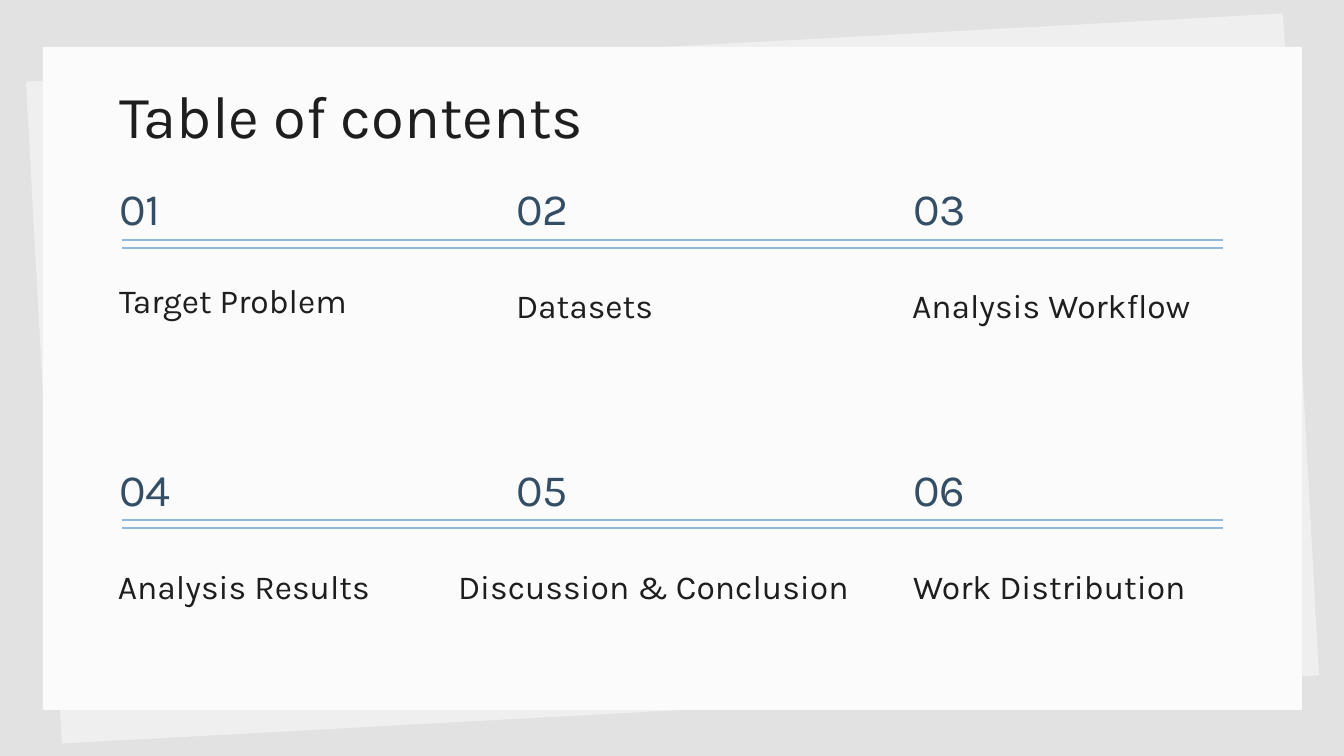
from pptx import Presentation
from pptx.dml.color import RGBColor
from pptx.enum.shapes import MSO_CONNECTOR, MSO_SHAPE
from pptx.enum.text import MSO_ANCHOR
from pptx.oxml.ns import qn
from pptx.util import Pt
from lxml import etree

RECTANGLE = MSO_SHAPE.RECTANGLE
STRAIGHT = MSO_CONNECTOR.STRAIGHT
TOP, MIDDLE, BOTTOM = MSO_ANCHOR.TOP, MSO_ANCHOR.MIDDLE, MSO_ANCHOR.BOTTOM

EMU_PER_PX = 914400 / 134.4
FONT = "Karla"
COLORS = {
    "background": "E2E2E2",
    "back_sheet": "EFEFEF",
    "sheet": "FBFBFB",
    "text": "1E1E1E",
    "number": "344E66",
    "rule": "90B8DB",
}
COLUMN_LEFTS = (106, 503, 900)
NUMBER_TOPS = (175, 456)
RULE_TOPS = (240, 520)
RULE_GAP = 8
SECTIONS = [
    ("Target Problem", (106, 215, 339, 118)),
    ("Datasets", (503, 267, 339, 71)),
    ("Analysis Workflow", (899, 267, 446, 71)),
    ("Analysis Results", (105, 548, 409, 71)),
    ("Discussion & Conclusion", (445, 548, 426, 71)),
    ("Work Distribution", (900, 548, 339, 71)),
]


def px(*lengths):
    """Turn pixel lengths into EMU."""
    return [round(length * EMU_PER_PX) for length in lengths]


def color(name):
    """Look up a colour by its role."""
    return RGBColor.from_string(COLORS[name])


def add_sheet(slide, fill, rotation=0):
    """Add a sheet of paper, turned by some degrees."""
    sheet = slide.shapes.add_shape(RECTANGLE, *px(43, 47, 1259, 663))
    sheet.shadow.inherit = False
    sheet.fill.solid()
    sheet.fill.fore_color.rgb = color(fill)
    sheet.line.fill.background()
    sheet.rotation = rotation


def add_text(slide, text, box, size, role="text", anchor=TOP, spacing=1):
    """Add one line of text in a box."""
    frame = slide.shapes.add_textbox(*px(*box)).text_frame
    frame.word_wrap = True
    frame.vertical_anchor = anchor
    frame.margin_left, frame.margin_top, frame.margin_right, frame.margin_bottom = px(13, 13, 13, 13)
    frame.text = text
    paragraph = frame.paragraphs[0]
    paragraph.line_spacing = spacing
    font = paragraph.runs[0].font
    font.name = FONT
    font.size = Pt(size)
    font.color.rgb = color(role)


def add_rule(slide, top):
    """Add a thin horizontal rule across the columns."""
    rule = slide.shapes.add_connector(STRAIGHT, *px(1223, top, 122, top))
    rule.line.color.rgb = color("rule")
    rule.line.width = Pt(0.75)
    etree.SubElement(rule.element.spPr, qn("a:effectLst"))


def main():
    """Build the table of contents slide."""
    deck = Presentation()
    deck.slide_width, deck.slide_height = px(1344, 756)
    slide = deck.slides.add_slide(deck.slide_layouts[6])
    slide.background.fill.solid()
    slide.background.fill.fore_color.rgb = color("background")

    add_sheet(slide, "back_sheet", 356.9)
    add_sheet(slide, "sheet")
    add_text(slide, "Table of contents", (106, 66, 958, 85), 32)

    for index, (section, section_box) in enumerate(SECTIONS):
        row, column = divmod(index, len(COLUMN_LEFTS))
        number_box = (COLUMN_LEFTS[column], NUMBER_TOPS[row], 108, 66)
        add_text(slide, f"{index + 1:02}", number_box, 24, "number", MIDDLE)
        add_text(slide, section, section_box, 18, anchor=BOTTOM, spacing=1.15)

    for top in RULE_TOPS:
        add_rule(slide, top + RULE_GAP)
        add_rule(slide, top)

    deck.save("out.pptx")


if __name__ == "__main__":
    main()
